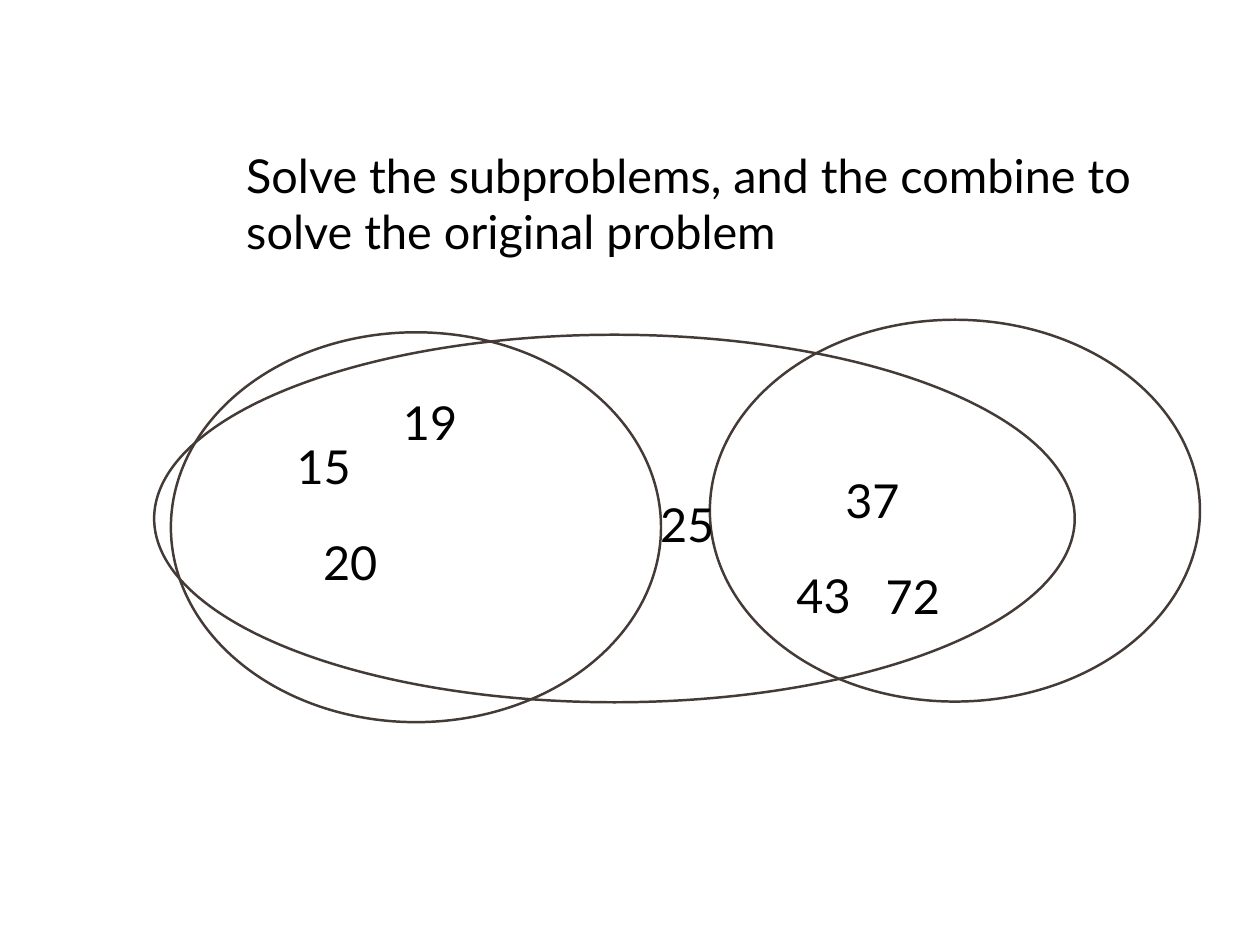
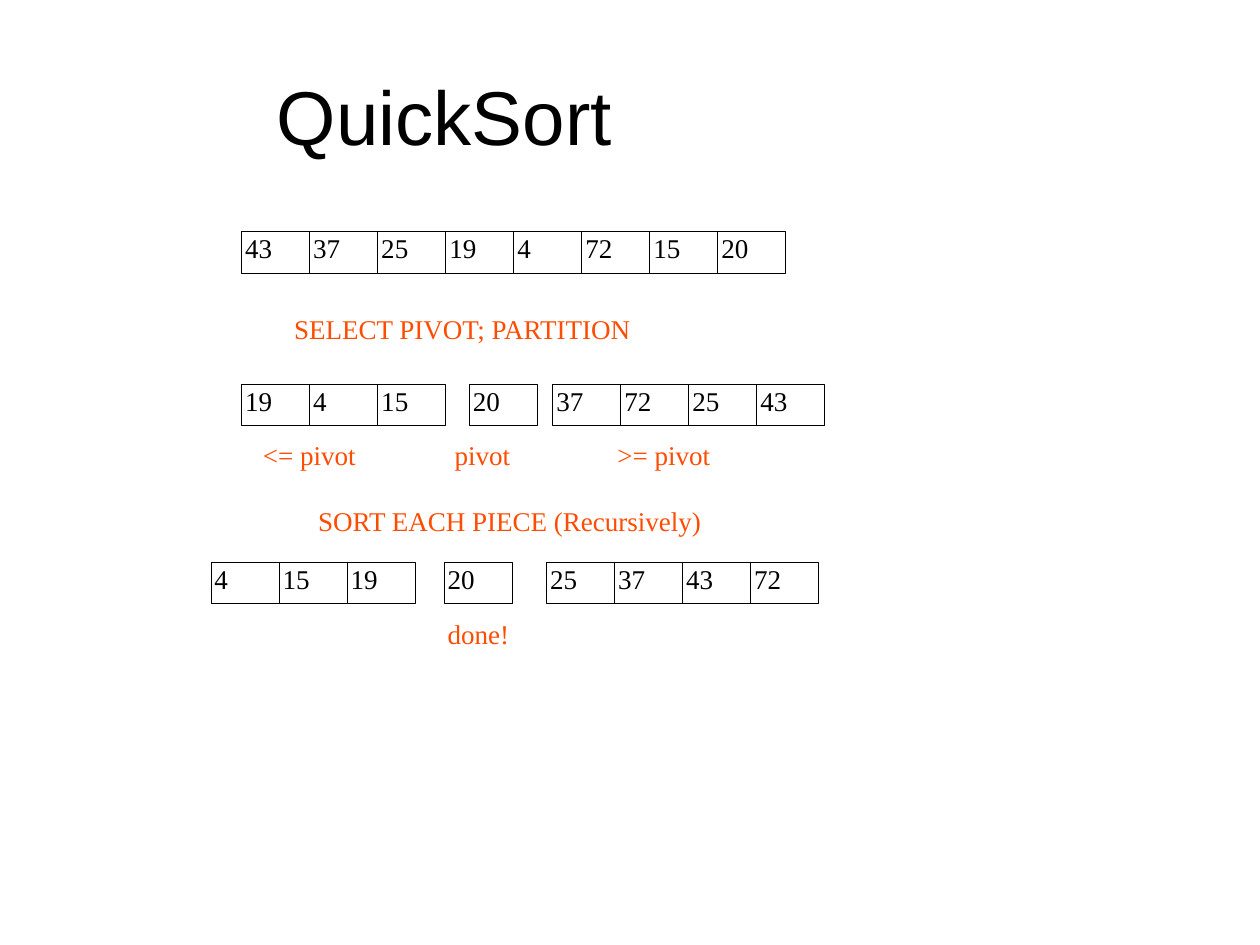
import dataclasses

import pptx
import pptx.dml.color
import pptx.enum.shapes
import pptx.enum.text
import pptx.util

Cm = pptx.util.Cm
Pt = pptx.util.Pt
ALIGN = pptx.enum.text.PP_ALIGN
ANCHOR = pptx.enum.text.MSO_ANCHOR
SHAPE = pptx.enum.shapes.MSO_SHAPE


@dataclasses.dataclass(frozen=True)
class Theme:
    ink: str = "000000"
    accent: str = "FF4C00"
    outline: str = "443A36"
    set_font: str = "Lato"
    title_font: str = "Arial"
    array_font: str = "Times New Roman"
    set_size: int = 38
    title_size: int = 62
    array_size: int = 22
    set_line: float = 2
    cell_line: float = 0.75


THEME = Theme()
CELL_WIDTH, CELL_HEIGHT = 1.95, 1.19
CELL_INDENT = 0.1
NUMBER_BOX = (1.7, 1.96)


def color(value):
    return pptx.dml.color.RGBColor.from_string(value)


def write_text(shape, text, *, font, size, ink=THEME.ink, align=ALIGN.LEFT,
               anchor=ANCHOR.TOP, indent=0, wrap=True):
    frame = shape.text_frame
    frame.margin_left = Cm(indent)
    frame.margin_right = frame.margin_top = frame.margin_bottom = 0
    frame.vertical_anchor = anchor
    frame.word_wrap = wrap
    paragraph = frame.paragraphs[0]
    paragraph.alignment = align
    run = paragraph.add_run()
    run.text = text
    run.font.name = font
    run.font.size = Pt(size)
    run.font.color.rgb = color(ink)


def add_text(slide, text, left, top, width, height, **text_format):
    box = slide.shapes.add_textbox(Cm(left), Cm(top), Cm(width), Cm(height))
    write_text(box, text, **text_format)


def add_outline(shapes, kind, left, top, width, height, ink, weight):
    shape = shapes.add_shape(kind, Cm(left), Cm(top), Cm(width), Cm(height))
    shape.shadow.inherit = False
    shape.fill.background()
    shape.line.color.rgb = color(ink)
    shape.line.width = Pt(weight)
    return shape


def add_set(slide, left, top, width, height):
    add_outline(slide.shapes, SHAPE.OVAL, left, top, width, height,
                THEME.outline, THEME.set_line)


def add_number(slide, value, left, top):
    add_text(slide, str(value), left, top, *NUMBER_BOX, font=THEME.set_font,
             size=THEME.set_size, align=ALIGN.CENTER, anchor=ANCHOR.MIDDLE,
             wrap=False)


def add_array_row(slide, top, pieces):
    """Group one row of cells; pieces maps each left edge to its values."""
    group = slide.shapes.add_group_shape()
    for left, values in pieces.items():
        for index, value in enumerate(values):
            cell = add_outline(group.shapes, SHAPE.RECTANGLE,
                               left + index * CELL_WIDTH, top, CELL_WIDTH,
                               CELL_HEIGHT, THEME.ink, THEME.cell_line)
            write_text(cell, str(value), font=THEME.array_font,
                       size=THEME.array_size, indent=CELL_INDENT)


def add_label(slide, text, left, top, width):
    add_text(slide, text, left, top, width, 1.17, font=THEME.array_font,
             size=THEME.array_size, ink=THEME.accent, indent=CELL_INDENT,
             wrap=False)


def build_subproblems(slide):
    add_set(slide, 4.9, 9.53, 14.05, 11.18)
    add_set(slide, 4.42, 9.6, 26.39, 10.54)
    add_set(slide, 20.35, 9.17, 14.05, 10.95)
    for value, left, top in ((25, 18.85, 14.05), (19, 11.48, 11.13),
                             (15, 8.43, 12.37), (20, 9.19, 15.14),
                             (72, 25.32, 16.1), (43, 22.76, 16.08),
                             (37, 24.16, 13.34)):
        add_number(slide, value, left, top)
    add_text(slide, "Solve the subproblems, and the combine to solve the "
             "original problem", 7.06, 3.99, 25.88, 3.63,
             font=THEME.set_font, size=THEME.set_size, anchor=ANCHOR.MIDDLE)


def build_quicksort(slide):
    add_text(slide, "QuickSort", 1.9, 1.07, 21.59, 4.47,
             font=THEME.title_font, size=THEME.title_size,
             align=ALIGN.CENTER, anchor=ANCHOR.MIDDLE, indent=CELL_INDENT)
    add_array_row(slide, 6.65, {6.93: (43, 37, 25, 19, 4, 72, 15, 20)})
    add_label(slide, "SELECT PIVOT; PARTITION", 8.33, 8.97, 10.08)
    add_array_row(slide, 11.02, {6.93: (19, 4, 15), 13.46: (20,),
                                 15.85: (37, 72, 25, 43)})
    for text, left, width in (("<= pivot", 7.44, 3.1),
                              ("pivot", 12.93, 2.03),
                              (">= pivot", 17.6, 3.1)):
        add_label(slide, text, left, 12.57, width)
    add_label(slide, "SORT EACH PIECE (Recursively)", 9.02, 14.48, 11.43)
    add_array_row(slide, 16.13, {6.05: (4, 15, 19), 12.73: (20,),
                                 15.67: (25, 37, 43, 72)})
    add_label(slide, "done!", 12.73, 17.7, 2.21)


def main():
    presentation = pptx.Presentation()
    presentation.slide_width = Cm(36.12)
    presentation.slide_height = Cm(27.1)
    blank = presentation.slide_layouts[6]
    for build in (build_subproblems, build_quicksort):
        build(presentation.slides.add_slide(blank))
    presentation.save("out.pptx")


if __name__ == "__main__":
    main()
